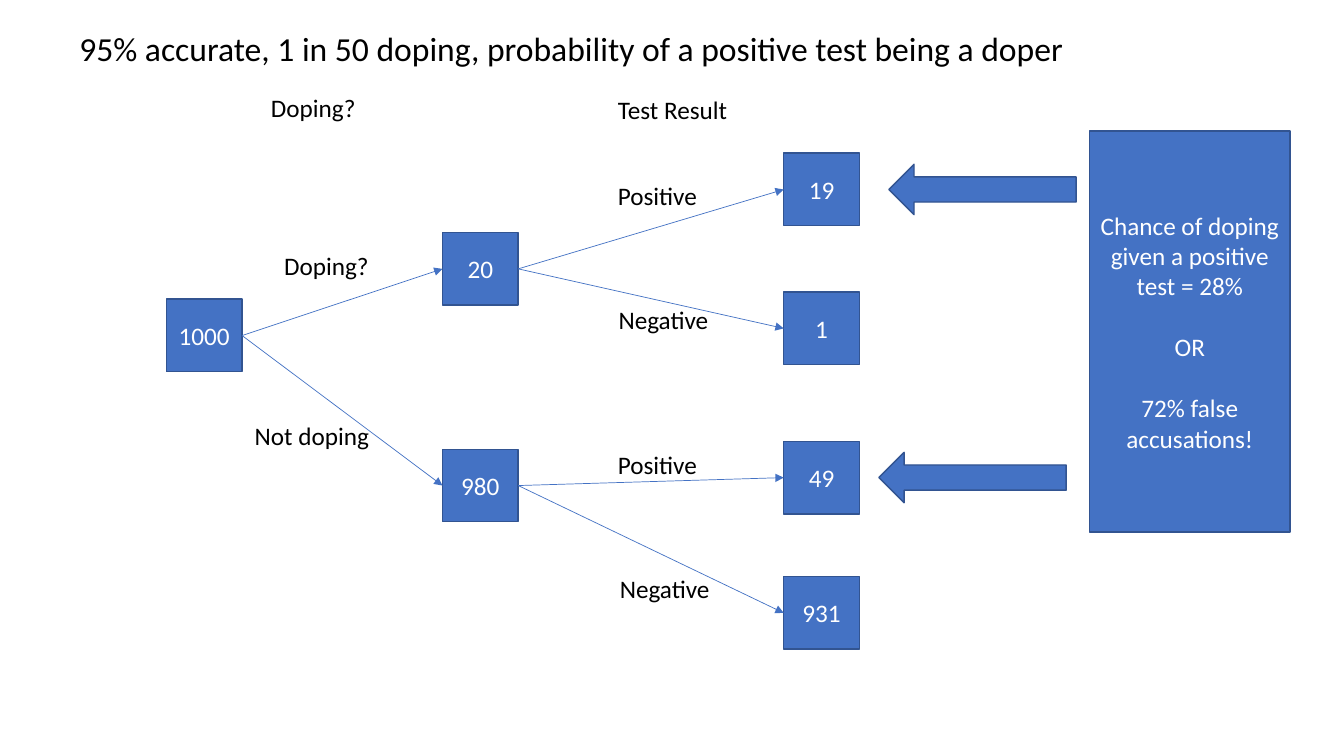
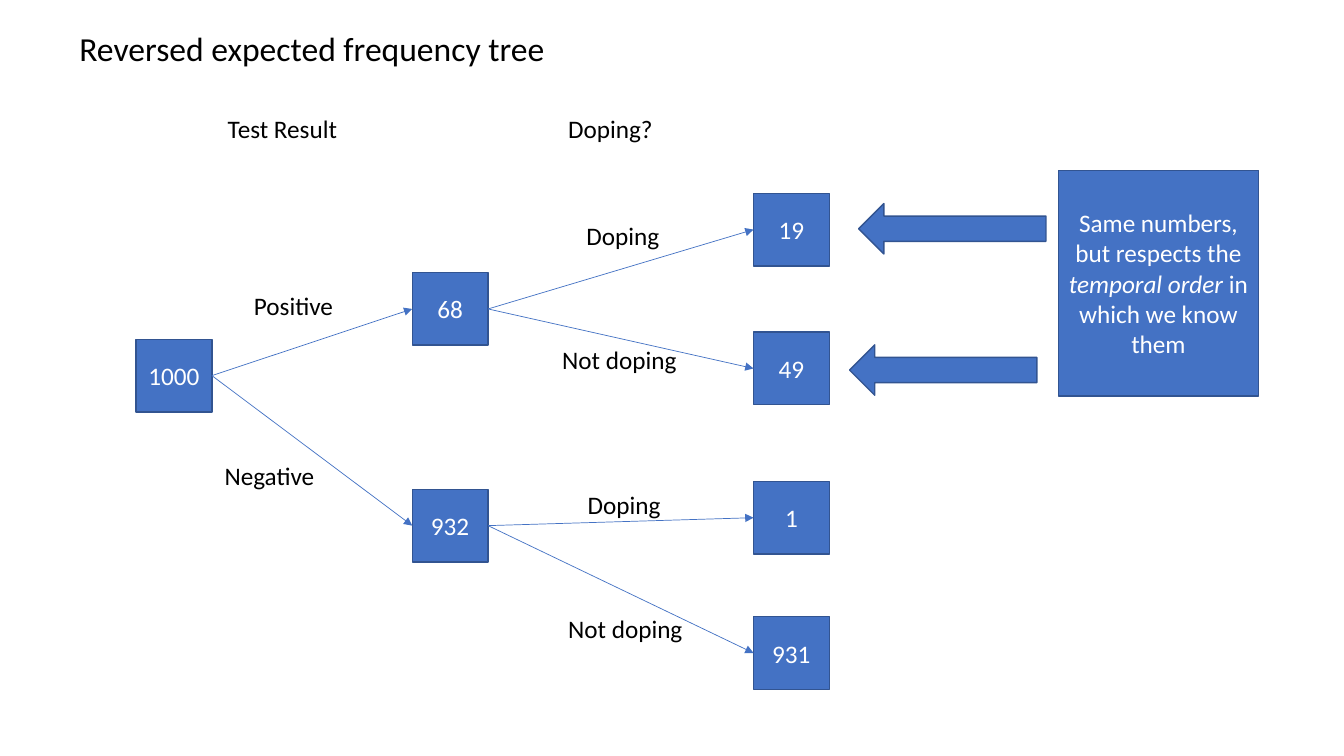
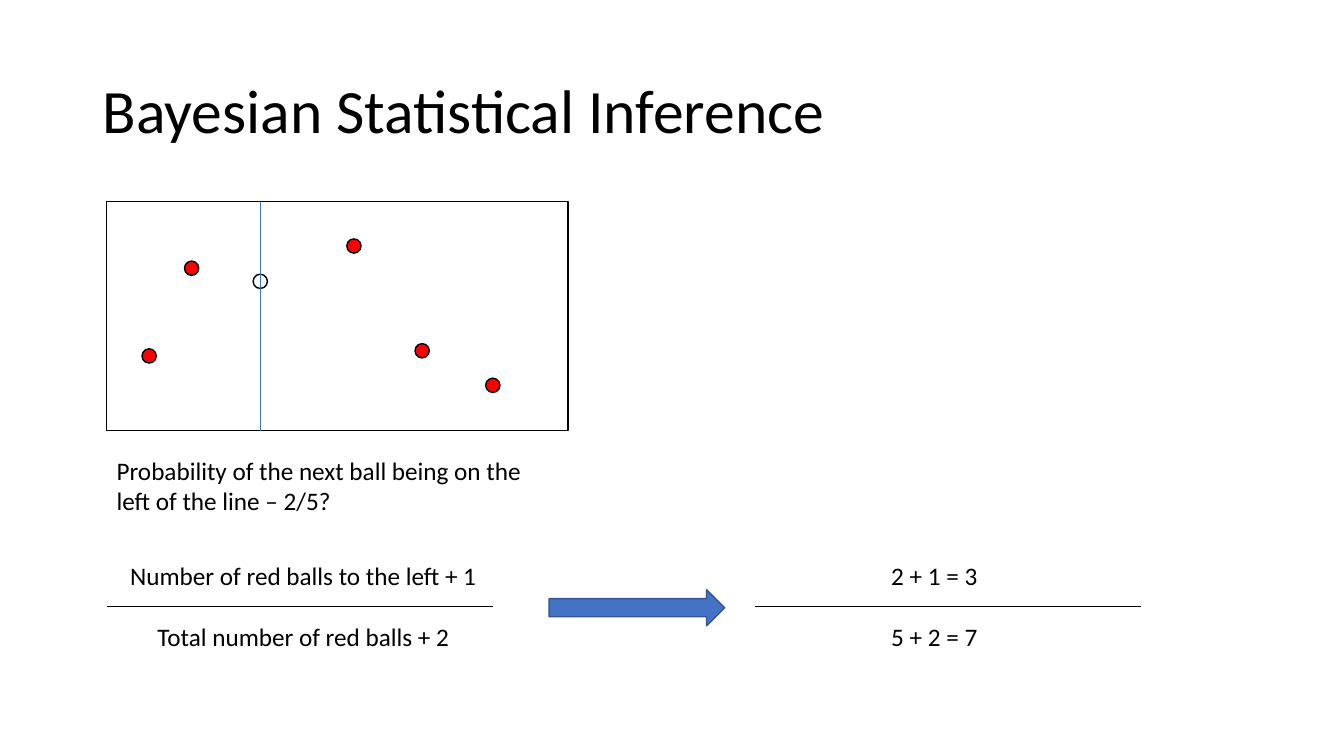
from dataclasses import dataclass
from typing import Any, NamedTuple

from lxml.etree import SubElement
from pptx import Presentation
from pptx.dml.color import RGBColor
from pptx.enum.shapes import MSO_CONNECTOR, MSO_SHAPE
from pptx.enum.text import MSO_ANCHOR, MSO_AUTO_SIZE, PP_ALIGN
from pptx.oxml.ns import qn
from pptx.util import Cm, Pt

BLACK = RGBColor(0x00, 0x00, 0x00)
WHITE = RGBColor(0xFF, 0xFF, 0xFF)
RED = RGBColor(0xFF, 0x00, 0x00)
BLUE = RGBColor(0x44, 0x72, 0xC4)
DARK_BLUE = RGBColor(0x32, 0x54, 0x91)

FONT = "Calibri"
BODY_SIZE = 18
BLANK_LINE = 22  # points between paragraphs set one line apart
BLANK_LAYOUT = 6

NODE_WIDTH, NODE_HEIGHT = 1.91, 1.83
LABEL_HEIGHT = 1.03
NARROW_LABEL, WIDE_LABEL, HEADING = 2.95, 3.61, 4.01
RIGHT_SIDE, LEFT_SIDE = 3, 1

# Offsets from the root node, in centimetres
BRANCH_LEFT, BRANCH_TOPS = 6.96, (-1.68, 3.78)
LEAF_LEFT, LEAF_TOPS = 15.56, (-3.68, -0.18, 3.58, 6.99)
BRANCH_LABELS = ((2.72, -1.35), (1.98, 2.92))
LEAF_LABEL_TOPS = (-3.12, 0, 3.66, 6.78)


class Area(NamedTuple):
    left: float
    top: float
    width: float
    height: float

    def lengths(self) -> list[Cm]:
        return [Cm(value) for value in self]


class Point(NamedTuple):
    left: float
    top: float


class Span(NamedTuple):
    text: str
    italic: bool = False


class Leaf(NamedTuple):
    count: str
    label: str
    label_left: float
    label_width: float = NARROW_LABEL


Para = tuple[Span, ...]


@dataclass(frozen=True)
class Tree:
    title: str
    root: Point
    headings: dict[str, Point]
    branches: tuple[tuple[str, str], ...]
    leaves: tuple[Leaf, ...]
    arrows: tuple[Point, ...]
    callout: Area
    message: tuple[Para, ...]


TREES = (
    Tree(
        title="95% accurate, 1 in 50 doping, probability of a positive test being a doper",
        root=Point(4.19, 7.54),
        headings={"Doping?": Point(6.58, 2.21), "Test Result": Point(15.32, 2.26)},
        branches=(("20", "Doping?"), ("980", "Not doping")),
        leaves=(
            Leaf("19", "Positive", 11.13),
            Leaf("1", "Negative", 11.15),
            Leaf("49", "Positive", 11.13),
            Leaf("931", "Negative", 11.18),
        ),
        arrows=(Point(22.4, 4.14), Point(22.15, 11.4)),
        callout=Area(27.46, 3.3, 5.05, 10.11),
        message=(
            (Span("Chance of doping given a positive test = 28%"),),
            (Span("OR"),),
            (Span("72% false accusations!"),),
        ),
    ),
    Tree(
        title="Reversed expected frequency tree",
        root=Point(3.43, 8.55),
        headings={"Doping?": Point(14.07, 2.74), "Test Result": Point(5.49, 2.72)},
        branches=(("68", "Positive"), ("932", "Negative")),
        leaves=(
            Leaf("19", "Doping", 11.1),
            Leaf("49", "Not doping", 10.49, WIDE_LABEL),
            Leaf("1", "Doping", 11.13),
            Leaf("931", "Not doping", 10.64, WIDE_LABEL),
        ),
        arrows=(Point(21.64, 5.13), Point(21.41, 8.69)),
        callout=Area(26.67, 4.29, 5.05, 5.69),
        message=(
            (
                Span("Same numbers, but respects the "),
                Span("temporal order ", italic=True),
                Span("in which we know them"),
            ),
        ),
    ),
)


def set_all(target: Any, formats: dict[str, Any]) -> None:
    for name, value in formats.items():
        setattr(target, name, value)


def write(frame: Any, paras: tuple[Para, ...], color: RGBColor,
          size: int = BODY_SIZE, **para_formats: Any) -> None:
    """Fill a text frame, leaving one blank line's space between paragraphs."""
    for index, spans in enumerate(paras):
        para = frame.add_paragraph() if index else frame.paragraphs[0]
        set_all(para, para_formats)
        if index:
            para.space_before = Pt(BLANK_LINE)
        for span in spans:
            run = para.add_run()
            run.text = span.text
            set_all(run.font, {"name": FONT, "size": Pt(size), "italic": span.italic})
            run.font.color.rgb = color


def add_text(page: Any, area: Area, *lines: str, **para_formats: Any) -> None:
    frame = page.shapes.add_textbox(*area.lengths()).text_frame
    set_all(frame, {"word_wrap": True, "auto_size": MSO_AUTO_SIZE.SHAPE_TO_FIT_TEXT})
    write(frame, tuple((Span(line),) for line in lines), BLACK, **para_formats)


def add_title(page: Any, text: str, area: Area, size: int, anchor: MSO_ANCHOR) -> None:
    frame = page.shapes.add_textbox(*area.lengths()).text_frame
    set_all(frame, {"word_wrap": True, "vertical_anchor": anchor})
    write(frame, ((Span(text),),), BLACK, size, line_spacing=0.9)


def add_figure(page: Any, kind: MSO_SHAPE, area: Area,
               fill: RGBColor | None = BLUE, line: RGBColor = DARK_BLUE) -> Any:
    shape = page.shapes.add_shape(kind, *area.lengths())
    shape.shadow.inherit = False
    if fill is None:
        shape.fill.background()
    else:
        shape.fill.solid()
        shape.fill.fore_color.rgb = fill
    shape.line.color.rgb = line
    shape.line.width = Pt(1)
    return shape


def add_block(page: Any, area: Area, paras: tuple[Para, ...]) -> Any:
    """Draw a blue rectangle with centred white text."""
    block = add_figure(page, MSO_SHAPE.RECTANGLE, area)
    set_all(block.text_frame, {"word_wrap": True, "vertical_anchor": MSO_ANCHOR.MIDDLE})
    write(block.text_frame, paras, WHITE, alignment=PP_ALIGN.CENTER)
    return block


def add_line(page: Any, start: Point, end: Point, color: RGBColor) -> Any:
    connector = page.shapes.add_connector(
        MSO_CONNECTOR.STRAIGHT, *(Cm(value) for value in (*start, *end)))
    connector.line.color.rgb = color
    connector.line.width = Pt(0.5)
    SubElement(connector.element.spPr, qn("a:effectLst"))
    return connector


def join(page: Any, parent: Any, child: Any) -> None:
    """Draw an arrow from a node's right side to its child's left side."""
    connector = add_line(page, Point(0, 0), Point(1, 1), BLUE)
    connector.begin_connect(parent, RIGHT_SIDE)
    connector.end_connect(child, LEFT_SIDE)
    outline = connector.element.spPr.find(qn("a:ln"))
    SubElement(outline, qn("a:tailEnd"), type="triangle")


def draw_tree(page: Any, tree: Tree) -> None:
    def add_node(count: str, left: float = 0, top: float = 0) -> Any:
        area = Area(tree.root.left + left, tree.root.top + top, NODE_WIDTH, NODE_HEIGHT)
        return add_block(page, area, ((Span(count),),))

    def add_label(text: str, left: float, top: float, width: float) -> None:
        add_text(page, Area(tree.root.left + left, tree.root.top + top,
                            width, LABEL_HEIGHT), text)

    add_title(page, tree.title, Area(1.75, 0.69, 25.53, 1.32), 24, MSO_ANCHOR.TOP)
    root = add_node("1000")
    branches = []
    for (count, label), top, place in zip(tree.branches, BRANCH_TOPS, BRANCH_LABELS):
        branch = add_node(count, BRANCH_LEFT, top)
        join(page, root, branch)
        add_label(label, *place, WIDE_LABEL)
        branches.append(branch)
    for index, leaf in enumerate(tree.leaves):
        node = add_node(leaf.count, LEAF_LEFT, LEAF_TOPS[index])
        join(page, branches[index // 2], node)
        add_label(leaf.label, leaf.label_left, LEAF_LABEL_TOPS[index], leaf.label_width)
    for text, place in tree.headings.items():
        add_text(page, Area(*place, HEADING, LABEL_HEIGHT), text)
    for place in tree.arrows:
        add_figure(page, MSO_SHAPE.LEFT_ARROW, Area(*place, 4.72, 1.27))
    add_block(page, tree.callout, tree.message)


def draw_inference(page: Any) -> None:
    table = Area(2.69, 5.08, 11.63, 5.77)
    divider, ball_size = 6.56, 0.36
    red_balls = (Point(3.58, 8.79), Point(4.65, 6.58), Point(8.74, 6.02),
                 Point(10.46, 8.66), Point(12.24, 9.53))

    add_title(page, "Bayesian Statistical Inference",
              Area(2.34, 1.02, 29.21, 3.68), 44, MSO_ANCHOR.MIDDLE)
    add_figure(page, MSO_SHAPE.RECTANGLE, table, None, BLACK)
    white_ball = Point(divider - ball_size / 2, 6.91)
    for place, color in ((white_ball, WHITE), *((ball, RED) for ball in red_balls)):
        add_figure(page, MSO_SHAPE.OVAL, Area(*place, ball_size, ball_size), color, BLACK)
    add_line(page, Point(divider, table.top + table.height), Point(divider, table.top), BLUE)
    add_text(page, Area(table.left, 11.35, table.width, 1.8),
             "Probability of the next ball being on the left of the line – 2/5?")

    fraction_top, bar_top, bar_width = 14, 15.27, 9.73
    fractions = (
        (2.69, 2.69, "Number of red balls to the left + 1", "Total number of red balls + 2"),
        (18.59, 19.02, "2 + 1 = 3", "5 + 2 = 7"),
    )
    for left, bar_left, numerator, denominator in fractions:
        add_text(page, Area(left, fraction_top, 9.91, 2.57),
                 numerator, denominator, alignment=PP_ALIGN.CENTER)
        add_line(page, Point(bar_left, bar_top), Point(bar_left + bar_width, bar_top), BLACK)
    add_figure(page, MSO_SHAPE.RIGHT_ARROW, Area(13.84, 14.86, 4.42, 0.91))


def main() -> None:
    deck = Presentation()
    deck.slide_width, deck.slide_height = Cm(33.87), Cm(19.05)
    layout = deck.slide_layouts[BLANK_LAYOUT]
    for tree in TREES:
        draw_tree(deck.slides.add_slide(layout), tree)
    draw_inference(deck.slides.add_slide(layout))
    deck.save("out.pptx")


if __name__ == "__main__":
    main()
